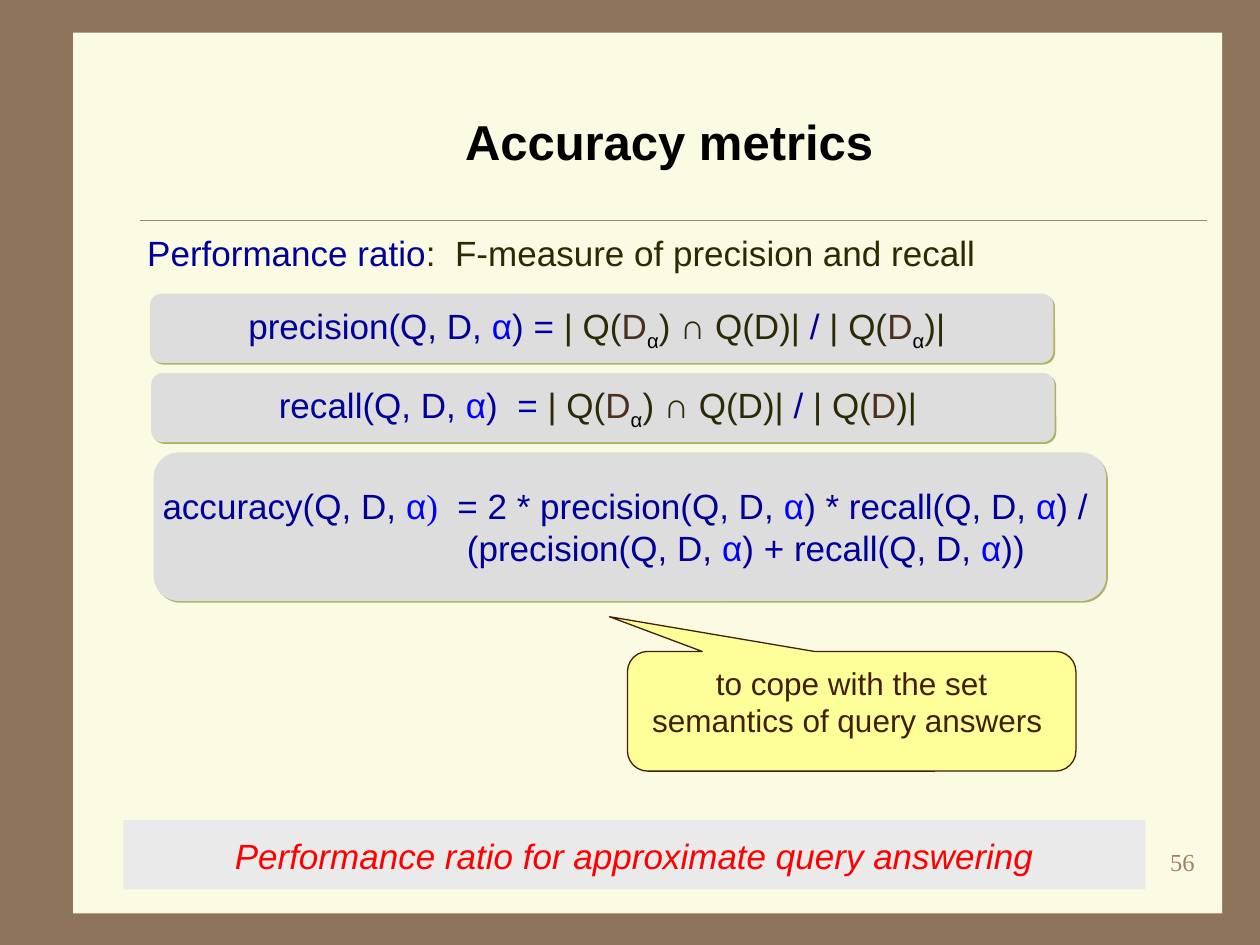
from lxml import etree
from pptx import Presentation
from pptx.dml.color import RGBColor
from pptx.enum.shapes import MSO_CONNECTOR, MSO_SHAPE
from pptx.enum.text import MSO_ANCHOR, PP_ALIGN
from pptx.oxml.ns import qn
from pptx.util import Inches, Pt

CENTER, LEFT, RIGHT = PP_ALIGN.CENTER, PP_ALIGN.LEFT, PP_ALIGN.RIGHT
TOP, MIDDLE = MSO_ANCHOR.TOP, MSO_ANCHOR.MIDDLE
RECTANGLE, ROUNDED = MSO_SHAPE.RECTANGLE, MSO_SHAPE.ROUNDED_RECTANGLE
CALLOUT = MSO_SHAPE.ROUNDED_RECTANGULAR_CALLOUT
STRAIGHT = MSO_CONNECTOR.STRAIGHT

# The slide is a grid of 100 columns by 75 rows; boxes are left, top, width, height.
WIDTH, HEIGHT = Inches(10), Inches(7.5)
COLUMN, ROW = WIDTH / 100, HEIGHT / 75

BODY = {"name": "Arial", "size": Pt(20)}
STYLES = {
    "navy": BODY | {"color": "000099"},
    "blue": BODY | {"color": "0000FF"},
    "olive": BODY | {"color": "2C2905"},
    "brown": BODY | {"color": "4A301D"},
    "subscript": BODY | {"color": "000000", "baseline": "-25000"},
    "serif": {"name": "Times New Roman", "size": Pt(20), "color": "0000FF"},
    "title": {"name": "Arial", "size": Pt(28), "bold": True, "color": "000000"},
    "note": {"name": "Arial", "size": Pt(18), "color": "402000"},
    "summary": BODY | {"italic": True, "color": "FF0000"},
    "number": {"name": "Times New Roman", "size": Pt(14), "color": "A08366"},
}

ALPHA = ("α", "blue")
SAMPLE = [("| Q(", "olive"), ("D", "brown"), ("α", "subscript")]
OVERLAP = SAMPLE + [(") ∩ Q(D)| ", "olive"), ("/ ", "navy")]
PRECISION = [("precision(Q, D, ", "navy"), ALPHA, (") = ", "navy"),
             *OVERLAP, *SAMPLE, (")| ", "olive")]
RECALL = [("recall(Q, D, ", "navy"), ALPHA, (")  = ", "navy"),
          *OVERLAP, ("| Q(", "olive"), ("D", "brown"), (")| ", "olive")]
NUMERATOR = [("accuracy(Q, D, ", "navy"), ALPHA, (")", "serif"),
             ("  = 2 * precision(Q, D, ", "navy"), ALPHA,
             (") * recall(Q, D, ", "navy"), ALPHA, (") / ", "navy")]
DENOMINATOR = [("(precision(Q, D, ", "navy"), ALPHA,
               (") + recall(Q, D, ", "navy"), ALPHA, ("))", "navy")]


def rgb(value):
    return RGBColor.from_string(value)


def place(box):
    left, top, width, height = box
    return [round(length) for length in
            (left * COLUMN, top * ROW, width * COLUMN, height * ROW)]


def write(shape, lines, align=CENTER, anchor=TOP, wrap=True):
    """Fill a shape with paragraphs, each a list of (text, style name)."""
    frame = shape.text_frame
    frame.word_wrap = wrap
    frame.vertical_anchor = anchor
    for index, runs in enumerate(lines):
        paragraph = frame.add_paragraph() if index else frame.paragraphs[0]
        paragraph.alignment = align
        for text, style in runs:
            run = paragraph.add_run()
            run.text = text
            for key, value in STYLES[style].items():
                if key == "color":
                    run.font.color.rgb = rgb(value)
                elif key == "baseline":
                    run.font._element.set("baseline", value)
                else:
                    setattr(run.font, key, value)
    return frame.paragraphs


def add_box(slide, kind, box, fill, line=None):
    shape = slide.shapes.add_shape(kind, *place(box))
    shape.shadow.inherit = False
    shape.fill.solid()
    shape.fill.fore_color.rgb = rgb(fill)
    if line:
        shape.line.color.rgb = rgb(line)
        shape.line.width = Pt(0.75)
    else:
        shape.line.fill.background()
    return shape


def add_text(slide, box, runs, **layout):
    return write(slide.shapes.add_textbox(*place(box)), [runs], **layout)


def add_card_shadow(shape):
    effects = shape._element.spPr.find(qn("a:effectLst"))
    shadow = etree.SubElement(effects, qn("a:outerShdw"), blurRad="0",
                              dist=str(Pt(1.4)), dir="2700000", algn="ctr",
                              rotWithShape="0")
    color = etree.SubElement(shadow, qn("a:srgbClr"), val="99993D")
    etree.SubElement(color, qn("a:alpha"), val="75000")


def add_paper(slide, box):
    """Draw the page with the rule under its title."""
    left, top, width, _ = box
    add_box(slide, RECTANGLE, box, "FBFAE2")
    start, y, length, _ = place((left + 5.3, top + 14.9, width - 6.5, 0))
    rule = slide.shapes.add_connector(STRAIGHT, start, y, start + length, y)
    rule.line.color.rgb = rgb("A08366")
    rule.line.width = Pt(0.25)
    etree.SubElement(rule._element.spPr, qn("a:effectLst"))


def add_formulas(slide, box):
    """Stack the three formula cards; the last takes the height left over."""
    left, top, width, height = box
    small, gap = 5.5, 0.8
    step = small + gap
    cards = [
        (0, 71.7, small, [PRECISION]),
        (0.1, 71.7, small, [RECALL]),
        (0.3, width, height - 2 * step, [NUMERATOR, DENOMINATOR]),
    ]
    for index, (shift, card_width, card_height, lines) in enumerate(cards):
        card = add_box(slide, ROUNDED, (left + shift, top + index * step,
                                        card_width, card_height), "DDDDDD")
        card.adjustments[0] = 0.17
        add_card_shadow(card)
        paragraphs = write(card, lines, anchor=MIDDLE, wrap=False)
        for paragraph in paragraphs[1:]:
            properties = paragraph._p.get_or_add_pPr()
            properties.set("marL", str(round(18.4 * COLUMN)))


def add_callout(slide, box):
    callout = add_box(slide, CALLOUT, box, "FFFF99", "402000")
    for index, value in enumerate((-0.54, -0.79, 0.17)):
        callout.adjustments[index] = value
    write(callout, [[("to cope with the set semantics of query answers ", "note")]])


def add_summary(slide, box):
    bar = add_box(slide, RECTANGLE, box, "EAEAEA")
    text = "Performance ratio for approximate query answering"
    write(bar, [[(text, "summary")]])[0].line_spacing = 1.2


def main():
    presentation = Presentation()
    presentation.slide_width, presentation.slide_height = WIDTH, HEIGHT
    slide = presentation.slides.add_slide(presentation.slide_layouts[6])
    slide.background.fill.solid()
    slide.background.fill.fore_color.rgb = rgb("8C735A")

    add_paper(slide, (5.8, 2.6, 91.2, 69.9))
    add_text(slide, (75, 66.7, 20.8, 5), [("56", "number")], align=RIGHT)
    add_text(slide, (10.6, 6.8, 85, 8.7), [("Accuracy metrics", "title")],
             anchor=MIDDLE)
    add_summary(slide, (9.8, 65.1, 81.1, 5.5))
    add_text(slide, (10.7, 17.9, 87, 5),
             [("Performance ratio", "navy"),
              (":  F-measure of precision and recall", "olive")], align=LEFT)
    add_callout(slide, (49.8, 51.7, 35.6, 9.5))
    add_formulas(slide, (11.9, 23.3, 75.6, 24.4))
    presentation.save("out.pptx")


if __name__ == "__main__":
    main()
